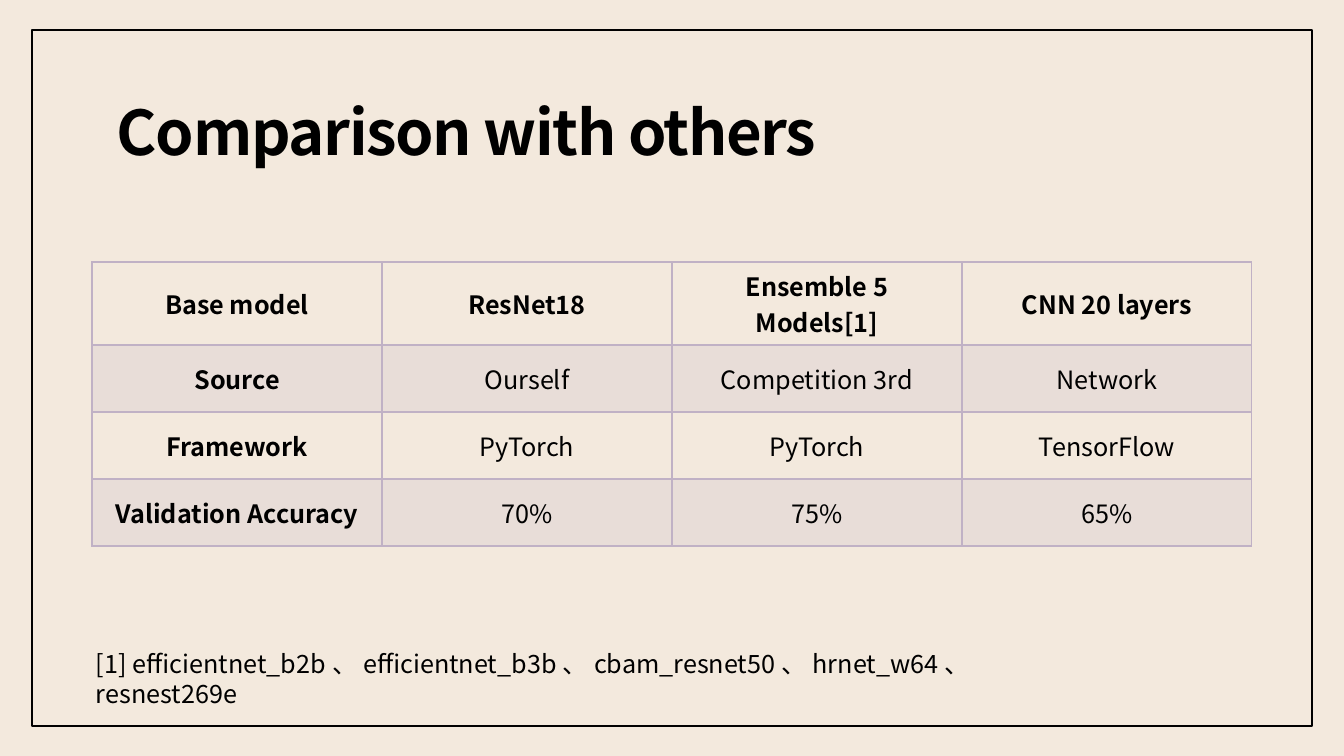
from pptx import Presentation
from pptx import util as u
from pptx.dml.color import RGBColor
from pptx.enum import shapes, text
from pptx.oxml import parse_xml
from pptx.oxml.ns import nsdecls, qn
from lxml import etree

TITLE = "Comparison with others"
NOTE = "[1] efficientnet_b2b、efficientnet_b3b、cbam_resnet50、hrnet_w64、resnest269e"
ROWS = [
    ("Base model", "ResNet18", "Ensemble 5 Models[1]", "CNN 20 layers"),
    ("Source", "Ourself", "Competition 3rd", "Network"),
    ("Framework", "PyTorch", "PyTorch", "TensorFlow"),
    ("Validation Accuracy", "70%", "75%", "65%"),
]
COLORS = {"back": "F3E9DD", "ink": "000000", "grid": "C0B1C5"}
FONT = "Noto Sans CJK SC"
PX = u.Inches(1) / 100.8


def px(n):
    return u.Emu(round(n * PX))


def rgb(name):
    return RGBColor.from_string(COLORS[name])


def style(para, size, bold=False):
    font = para.font
    font.name, font.size, font.bold = FONT, u.Pt(size), bold
    font.color.rgb = rgb("ink")


def add_text(slide, box, words, size, bold=False):
    frame = slide.shapes.add_textbox(*map(px, box)).text_frame
    frame.word_wrap = True
    para = frame.paragraphs[0]
    para.text = words
    style(para, size, bold)
    return frame, para


def add_edges(cell, head):
    props = cell._tc.get_or_add_tcPr()
    for spot, side in enumerate("LRTB"):
        width = u.Pt(2 if head and side == "B" else 1)
        props.insert(spot, parse_xml(
            f'<a:ln{side} {nsdecls("a")} w="{width}"><a:solidFill>'
            f'<a:srgbClr val="{COLORS["grid"]}"/></a:solidFill></a:ln{side}>'))


def add_grid(slide, left, top, wide, high):
    count = len(ROWS[0])
    table = slide.shapes.add_table(
        len(ROWS), count, px(left), px(top), px(wide * count), px(high * len(ROWS))).table
    table.horz_banding = False
    table.first_row = False
    for r, row in enumerate(ROWS):
        for c, words in enumerate(row):
            cell = table.cell(r, c)
            cell.text = words
            cell.vertical_anchor = text.MSO_ANCHOR.MIDDLE
            para = cell.text_frame.paragraphs[0]
            para.alignment = text.PP_ALIGN.CENTER
            style(para, 18, r == 0 or c == 0)
            if r % 2:
                cell.fill.solid()
                cell.fill.fore_color.rgb = rgb("grid")
                tint = cell._tc.tcPr.find(".//" + qn("a:srgbClr"))
                etree.SubElement(tint, qn("a:alpha"), val="20000")
            else:
                cell.fill.background()
            add_edges(cell, r == 0)


def main():
    deck = Presentation()
    deck.slide_width, deck.slide_height = px(1344), px(756)
    slide = deck.slides.add_slide(deck.slide_layouts[6])
    slide.background.fill.solid()
    slide.background.fill.fore_color.rgb = rgb("back")

    frame = slide.shapes.add_shape(
        shapes.MSO_SHAPE.RECTANGLE, *map(px, (32, 30, 1280, 696)))
    frame.shadow.inherit = False
    frame.fill.background()
    frame.line.color.rgb = rgb("ink")
    frame.line.width = u.Pt(1.5)

    add_grid(slide, 92, 262, 290, 67)

    note, para = add_text(slide, (86, 643, 1020, 40), NOTE, 18)
    note.auto_size = text.MSO_AUTO_SIZE.SHAPE_TO_FIT_TEXT

    title, para = add_text(slide, (117, 82, 753, 87), TITLE, 44, True)
    title.vertical_anchor = text.MSO_ANCHOR.BOTTOM
    title.margin_left = title.margin_right = 0
    title.margin_top = title.margin_bottom = 0
    para.line_spacing = 0.9
    para._p.pPr.find(qn("a:defRPr")).set("spc", "-100")

    deck.save("out.pptx")


if __name__ == "__main__":
    main()
